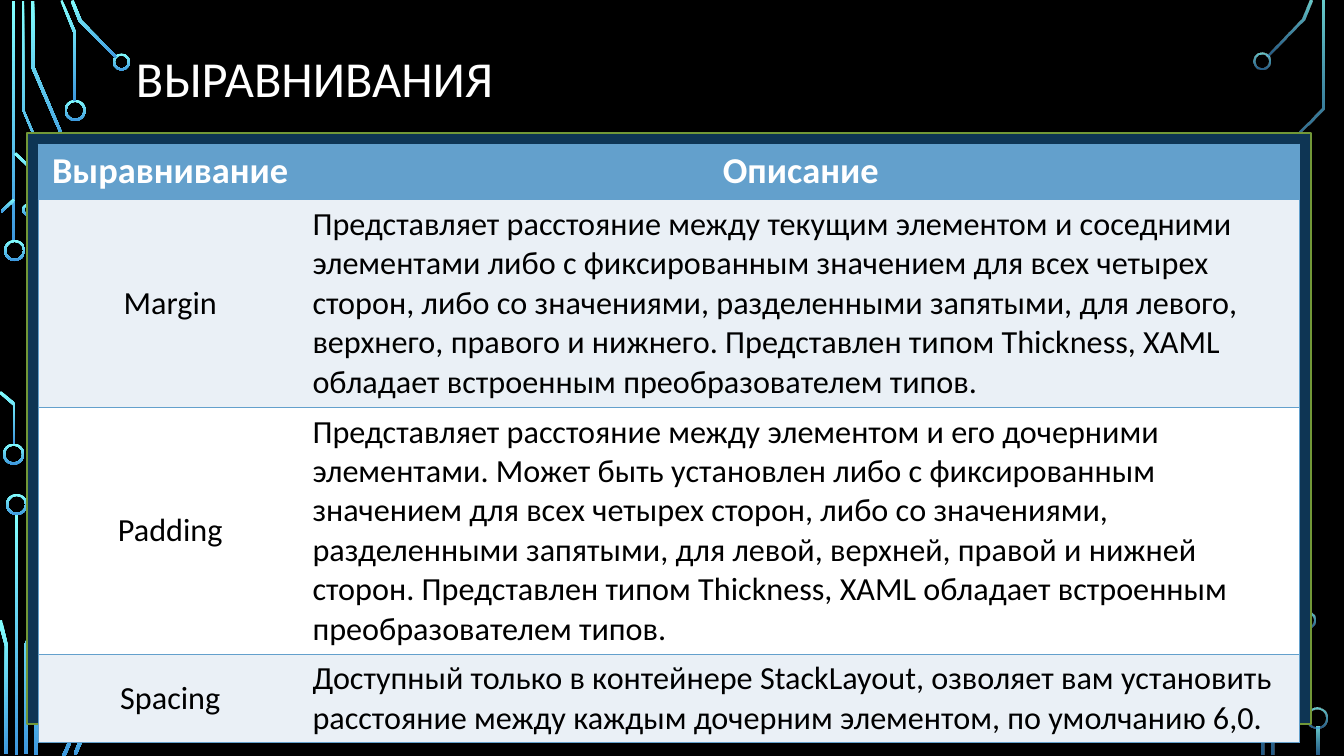
from dataclasses import dataclass
from typing import Any

from lxml import etree
from pptx import Presentation
from pptx.dml.color import RGBColor
from pptx.enum.shapes import MSO_SHAPE
from pptx.enum.text import MSO_ANCHOR, PP_ALIGN
from pptx.oxml.ns import qn
from pptx.util import Cm, Pt

RECTANGLE = MSO_SHAPE.RECTANGLE
DONUT = MSO_SHAPE.DONUT
MIDDLE = MSO_ANCHOR.MIDDLE
TOP = MSO_ANCHOR.TOP
CENTER = PP_ALIGN.CENTER
LEFT = PP_ALIGN.LEFT

BLACK = RGBColor(0x00, 0x00, 0x00)
WHITE = RGBColor(0xFF, 0xFF, 0xFF)
CYAN = RGBColor(0x82, 0xFF, 0xFF)
BLUE = RGBColor(0x3D, 0x97, 0xDE)
NAVY = RGBColor(0x0E, 0x35, 0x54)
GREEN = RGBColor(0x72, 0x98, 0x38)
STEEL = RGBColor(0x63, 0xA0, 0xCC)
PALE = RGBColor(0xEA, 0xF0, 0xF6)

FONT = "Calibri"
SOLID = (100, 100)
FADED = (80, 60)
CM_PER_INCH = 2.54

Box = tuple[float, float, float, float]
Points = list[tuple[float, float]]


@dataclass
class Circuit:
    opacity: tuple[int, int]
    bars: list[Box]
    rings: list[Box]
    traces: list[Points]


@dataclass
class TableRow:
    height: float
    name: str
    description: str
    fill: RGBColor


LEFT_CIRCUIT = Circuit(
    SOLID,
    bars=[(0.12, 0.01, 0.03, 2.39), (0.15, 5.1, 0.03, 2.39)],
    rings=[
        (0.04, 2.38, 0.21, 0.21),
        (0.03, 4.4, 0.21, 0.21),
        (0.64, 0.99, 0.21, 0.21),
        (1.12, 0.53, 0.17, 0.17),
        (0.22, 2.02, 0.12, 0.12),
        (0.06, 4.9, 0.21, 0.21),
    ],
    traces=[
        [(0.6, 1.99), (0.22, 1.09), (0.22, 0.01), (0.24, 0.01), (0.24, 1.09), (0.62, 1.98)],
        [(0.7, 1.57), (0.31, 0.67), (0.31, 0.01), (0.34, 0.01), (0.34, 0.66), (0.72, 1.56)],
        [(0.76, 1), (0.73, 1), (0.73, 0.33), (0.6, 0.01), (0.62, 0), (0.76, 0.33)],
        [(1.15, 0.58), (0.78, 0.21), (0.7, 0.01), (0.73, 0), (0.81, 0.2), (1.16, 0.56)],
        [(0.02, 2.11), (0.01, 2.09), (0.13, 1.97), (0.15, 1.99)],
        [(0.15, 4.41), (0.13, 4.41), (0.13, 4.02), (-0.01, 3.9), (0.01, 3.88), (0.15, 4)],
        [(0.3, 2.03), (0.28, 2.03), (0.28, 1.66), (0.14, 1.53), (0.16, 1.51), (0.3, 1.65)],
        [(0.27, 7.48), (0.24, 7.48), (0.24, 6.4), (0.62, 5.51), (0.65, 5.52), (0.27, 6.41)],
        [(0.08, 7.48), (0.05, 7.48), (0.05, 6.41), (-0.02, 6.16), (0.02, 6.15), (0.08, 6.41)],
        [(0.37, 7.49), (0.34, 7.49), (0.34, 6.82), (0.72, 5.93), (0.75, 5.94), (0.37, 6.83)],
        [(0.65, 7.5), (0.62, 7.49), (0.76, 7.17), (0.76, 6.5), (0.79, 6.5), (0.79, 7.17)],
        [(0.76, 7.49), (0.73, 7.48), (0.81, 7.28), (1.17, 6.92), (1.19, 6.94), (0.84, 7.3)],
    ],
)
RIGHT_CIRCUIT = Circuit(
    FADED,
    bars=[(13.06, 7.21, 0.03, 0.28)],
    rings=[
        (12.43, 0.52, 0.17, 0.17),
        (12.88, 6.07, 0.17, 0.17),
        (12.96, 7.02, 0.21, 0.21),
    ],
    traces=[
        [(12.58, 0.56), (12.56, 0.55), (12.91, 0.19), (12.99, 0), (13.02, 0.01), (12.94, 0.2)],
        [(12.64, 7.49), (12.61, 7.49), (12.61, 6.93), (12.92, 6.23), (12.94, 6.24), (12.64, 6.94)],
        [(12.83, 1.69), (12.81, 1.69), (12.81, 1.38), (13.11, 1.07),
         (13.11, 0.01), (13.14, 0.01), (13.14, 1.08), (12.83, 1.39)],
        [(12.54, 7.49), (12.51, 7.49), (12.51, 6.13), (12.82, 5.83),
         (12.82, 5.52), (12.85, 5.52), (12.85, 5.84), (12.54, 6.14)],
    ],
)

TABLE_ROWS = [
    TableRow(0.55, "Выравнивание", "Описание", STEEL),
    TableRow(
        2.06, "Margin",
        "Представляет расстояние между текущим элементом и соседними элементами либо "
        "с фиксированным значением для всех четырех сторон, либо со значениями, "
        "разделенными запятыми, для левого, верхнего, правого и нижнего. Представлен "
        "типом Thickness, XAML обладает встроенным преобразователем типов.",
        PALE,
    ),
    TableRow(
        2.45, "Padding",
        "Представляет расстояние между элементом и его дочерними элементами. Может быть "
        "установлен либо с фиксированным значением для всех четырех сторон, либо со "
        "значениями, разделенными запятыми, для левой, верхней, правой и нижней сторон. "
        "Представлен типом Thickness, XAML обладает встроенным преобразователем типов.",
        WHITE,
    ),
    TableRow(
        0.88, "Spacing",
        "Доступный только в контейнере StackLayout, озволяет вам установить расстояние "
        "между каждым дочерним элементом, по умолчанию 6,0.",
        PALE,
    ),
]
COLUMN_WIDTHS = (2.62, 9.89)

TITLE_FORMAT = {"name": FONT, "size": Pt(36), "bold": False}
HEADER_FORMAT = {"name": FONT, "size": Pt(26), "bold": True}
BODY_FORMAT = {"name": FONT, "size": Pt(23), "bold": False}


def inches(value: float) -> int:
    return Cm(value * CM_PER_INCH)


def apply_format(target: Any, values: dict[str, Any]) -> None:
    for name, value in values.items():
        setattr(target, name, value)


def write_text(paragraph: Any, text: str, values: dict[str, Any], color: RGBColor) -> None:
    run = paragraph.add_run()
    run.text = text
    apply_format(run.font, values)
    run.font.color.rgb = color


def add_preset(slide: Any, kind: Any, box: Box) -> Any:
    return slide.shapes.add_shape(kind, *map(inches, box))


def paint_circuit_part(shape: Any, opacity: tuple[int, int]) -> None:
    shape.shadow.inherit = False
    shape.line.fill.background()
    shape.fill.gradient()
    shape.fill.gradient_angle = 270
    for stop, color in zip(shape.fill.gradient_stops, (CYAN, BLUE)):
        stop.color.rgb = color
    for color_element, percent in zip(shape.element.iter(qn("a:srgbClr")), opacity):
        if percent < 100:
            etree.SubElement(color_element, qn("a:alpha"), val=str(percent * 1000))


def draw_circuit(slide: Any, circuit: Circuit) -> None:
    parts = [add_preset(slide, RECTANGLE, box) for box in circuit.bars]
    for box in circuit.rings:
        ring = add_preset(slide, DONUT, box)
        ring.adjustments[0] = 0.02 / box[2]
        parts.append(ring)
    for trace in circuit.traces:
        points = [(inches(x), inches(y)) for x, y in trace]
        builder = slide.shapes.build_freeform(*points[0])
        builder.add_line_segments(points[1:], close=True)
        parts.append(builder.convert_to_shape())
    for part in parts:
        paint_circuit_part(part, circuit.opacity)


def draw_frame(slide: Any) -> None:
    frame = add_preset(slide, RECTANGLE, (0.27, 1.32, 12.73, 5.86))
    frame.shadow.inherit = False
    frame.fill.solid()
    frame.fill.fore_color.rgb = NAVY
    frame.line.color.rgb = GREEN
    frame.line.width = Pt(1.25)


def draw_title(slide: Any) -> None:
    title = slide.shapes.add_textbox(*map(inches, (1.25, 0, 11.75, 1.62)))
    apply_format(title.text_frame, {"word_wrap": True, "vertical_anchor": MIDDLE})
    paragraph = title.text_frame.paragraphs[0]
    paragraph.line_spacing = 0.9
    write_text(paragraph, "ВЫРАВНИВАНИЯ", TITLE_FORMAT, WHITE)


def set_borders(cell: Any, hidden_side: str) -> None:
    properties = cell._tc.get_or_add_tcPr()
    for position, side in enumerate(("lnL", "lnR", "lnT", "lnB")):
        line = etree.Element(qn(f"a:{side}"), w=str(Pt(1)))
        if side == hidden_side:
            etree.SubElement(line, qn("a:noFill"))
        else:
            fill = etree.SubElement(line, qn("a:solidFill"))
            etree.SubElement(fill, qn("a:srgbClr"), val=str(STEEL))
        properties.insert(position, line)


def draw_table(slide: Any) -> None:
    height = sum(row.height for row in TABLE_ROWS)
    box = (0.38, 1.43, sum(COLUMN_WIDTHS), height)
    table = slide.shapes.add_table(len(TABLE_ROWS), len(COLUMN_WIDTHS), *map(inches, box)).table
    for column, width in zip(table.columns, COLUMN_WIDTHS):
        column.width = inches(width)
    for row_index, row in enumerate(TABLE_ROWS):
        table.rows[row_index].height = inches(row.height)
        is_header = row_index == 0
        for column_index, text in enumerate((row.name, row.description)):
            cell = table.cell(row_index, column_index)
            cell.fill.solid()
            cell.fill.fore_color.rgb = row.fill
            cell.vertical_anchor = TOP if is_header else MIDDLE
            paragraph = cell.text_frame.paragraphs[0]
            paragraph.alignment = CENTER if is_header or column_index == 0 else LEFT
            write_text(paragraph, text, HEADER_FORMAT if is_header else BODY_FORMAT,
                       WHITE if is_header else BLACK)
            set_borders(cell, "lnR" if column_index == 0 else "lnL")


def main() -> None:
    presentation = Presentation()
    apply_format(presentation, {"slide_width": inches(13.33), "slide_height": inches(7.5)})
    slide = presentation.slides.add_slide(presentation.slide_layouts[6])
    slide.background.fill.solid()
    slide.background.fill.fore_color.rgb = BLACK
    for circuit in (LEFT_CIRCUIT, RIGHT_CIRCUIT):
        draw_circuit(slide, circuit)
    draw_frame(slide)
    draw_title(slide)
    draw_table(slide)
    presentation.save("out.pptx")


if __name__ == "__main__":
    main()
